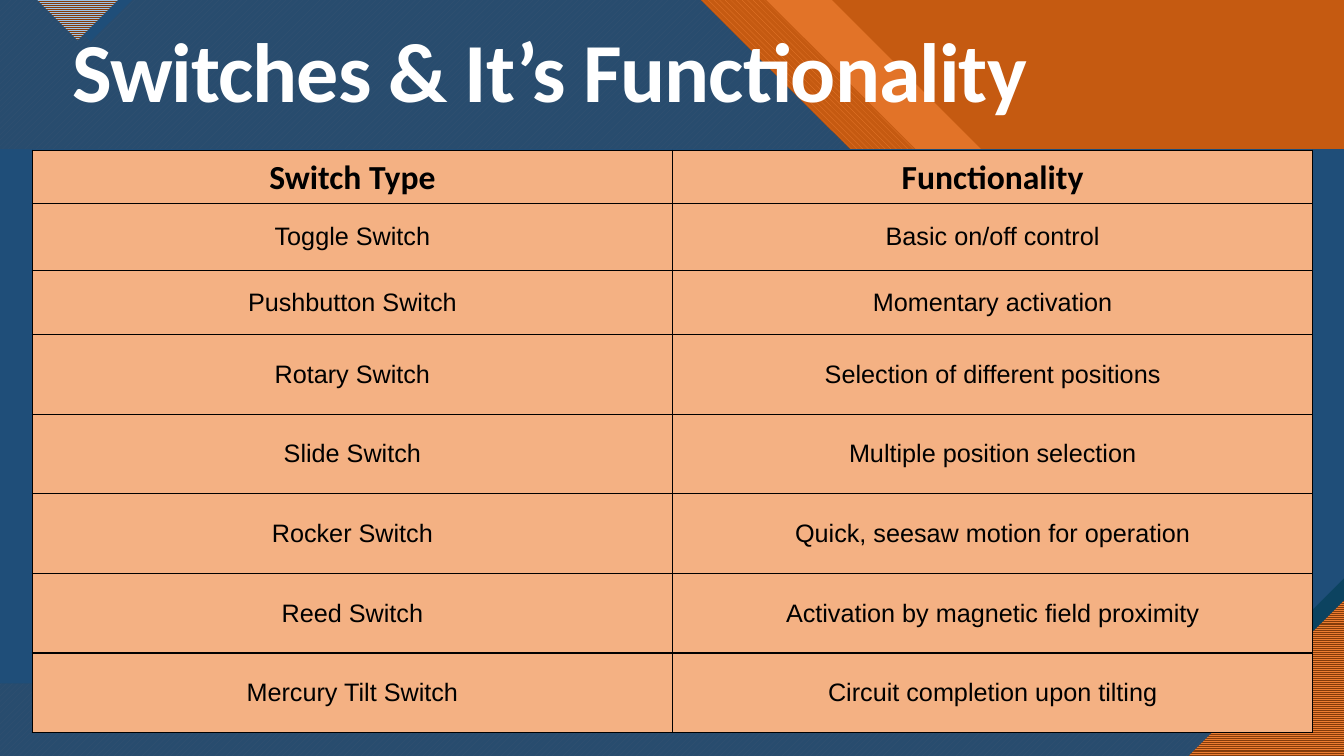
from lxml.etree import SubElement
from pptx import Presentation
from pptx.dml.color import RGBColor
from pptx.enum.dml import MSO_PATTERN
from pptx.enum.shapes import MSO_SHAPE
from pptx.enum.text import MSO_ANCHOR, PP_ALIGN
from pptx.oxml import parse_xml
from pptx.oxml.ns import nsdecls, qn
from pptx.util import Inches, Pt

WHITE = RGBColor(0xFF, 0xFF, 0xFF)
BLACK = RGBColor(0x00, 0x00, 0x00)
RUST = RGBColor(0xC5, 0x5A, 0x11)
ORANGE = RGBColor(0xED, 0x7D, 0x31)
BROWN = RGBColor(0x84, 0x3C, 0x0B)
NAVY = RGBColor(0x1F, 0x4E, 0x79)
TEAL = RGBColor(0x0C, 0x43, 0x60)
SKY = RGBColor(0x9D, 0xC3, 0xE6)
PEACH = RGBColor(0xF4, 0xB1, 0x83)

TITLE = "Switches & It’s Functionality"
ROWS = [
    ("Switch Type", "Functionality"),
    ("Toggle Switch", "Basic on/off control"),
    ("Pushbutton Switch", "Momentary activation"),
    ("Rotary Switch", "Selection of different positions"),
    ("Slide Switch", "Multiple position selection"),
    ("Rocker Switch", "Quick, seesaw motion for operation"),
    ("Reed Switch", "Activation by magnetic field proximity"),
    ("Mercury Tilt Switch", "Circuit completion upon tilting"),
]
HEIGHTS = [0.53, 0.66, 0.64] + [0.79] * 5
WIDE, HIGH = 13.33, 7.5


def band(top, step, flat, edge, left=0):
    return [(left, 0), (top, 0), (top + step, step), (flat, step),
            (WIDE, edge), (WIDE, HIGH), (left, HIGH)]


FIELD = band(6.95, 2.97, 11.18, 5.12)
DOWN = MSO_PATTERN.WIDE_DOWNWARD_DIAGONAL
UP = MSO_PATTERN.WIDE_UPWARD_DIAGONAL
LINES = MSO_PATTERN.LIGHT_HORIZONTAL
BARS = MSO_PATTERN.DARK_VERTICAL

LAYERS = [
    (band(8.25, 2.97, 12.34, 3.96), dict(fore=ORANGE, alpha=74)),
    (band(7.6, 2.97, 11.84, 4.47, 0.66), dict(fore=ORANGE, back=RUST, kind=DOWN)),
    (FIELD, dict(fore=ORANGE, back=BROWN, kind=UP)),
    (FIELD, dict(fore=NAVY, alpha=90)),
    ([(1.31, 0), (0.9, 0.41), (0.48, 0)], dict(fore=NAVY)),
    ([(0.37, 0), (0.77, 0.4), (1.17, 0)], dict(fore=SKY, back=BROWN, kind=LINES)),
]
CORNER = [(11.79, HIGH), (WIDE, HIGH), (WIDE, 5.96)]
PANELS = [(0, dict(fore=TEAL, back=BROWN, kind=BARS)), (0.197, dict(fore=NAVY))]

deck = Presentation()
deck.slide_width, deck.slide_height = Inches(WIDE), Inches(HIGH)
slide = deck.slides.add_slide(deck.slide_layouts[6])
slide.background.fill.solid()
slide.background.fill.fore_color.rgb = ORANGE


def paint(shape, fore, back=None, kind=None, alpha=None):
    shape.shadow.inherit = False
    shape.line.fill.background()
    if kind:
        shape.fill.patterned()
        shape.fill.pattern = kind
        shape.fill.back_color.rgb = back
    else:
        shape.fill.solid()
    shape.fill.fore_color.rgb = fore
    if alpha:
        color = shape._element.spPr.find(qn("a:solidFill"))[0]
        SubElement(color, qn("a:alpha")).set("val", str(alpha * 1000))


def outline(points, look):
    spots = [(Inches(x), Inches(y)) for x, y in points]
    pen = slide.shapes.build_freeform(*spots[0], scale=1.0)
    pen.add_line_segments(spots[1:], close=True)
    paint(pen.convert_to_shape(), **look)


def write(frame, text, size, font, color, bold=False, align=None, space=None, track=None):
    par = frame.paragraphs[0]
    par.alignment = align
    par.line_spacing = space
    run = par.add_run()
    run.text = text
    run.font.size, run.font.name, run.font.bold = Pt(size), font, bold
    run.font.color.rgb = color
    if track:
        run.font._element.set("spc", str(track))


def border(cell):
    props = cell._tc.get_or_add_tcPr()
    for spot, side in enumerate("LRTB"):
        props.insert(spot, parse_xml(
            f'<a:ln{side} {nsdecls("a")} w="{Pt(0.96)}"><a:solidFill>'
            f'<a:srgbClr val="{BLACK}"/></a:solidFill></a:ln{side}>'))


base = slide.shapes.add_shape(MSO_SHAPE.RECTANGLE, 0, 0, Inches(WIDE), Inches(HIGH))
paint(base, RUST)
for points, look in LAYERS:
    outline(points, look)
for snip, look in PANELS:
    panel = slide.shapes.add_shape(
        MSO_SHAPE.SNIP_1_RECTANGLE, 0, Inches(1.48), Inches(WIDE), Inches(5.3))
    panel.adjustments[0] = snip
    panel._element.spPr.find(qn("a:xfrm")).set("flipV", "1")
    paint(panel, **look)
outline(CORNER, dict(fore=BROWN, back=ORANGE, kind=LINES))

head = slide.shapes.add_textbox(
    Inches(0.62), Inches(0.24), Inches(12.26), Inches(1.01)).text_frame
head.word_wrap = True
head.vertical_anchor = MSO_ANCHOR.MIDDLE
write(head, TITLE, 60, "Calibri", WHITE, bold=True, space=0.9, track=-70)

grid = slide.shapes.add_table(
    len(ROWS), 2, Inches(0.32), Inches(1.49), Inches(12.7), Inches(sum(HEIGHTS))).table
for col in grid.columns:
    col.width = Inches(6.35)
for r, (row, high) in enumerate(zip(ROWS, HEIGHTS)):
    grid.rows[r].height = Inches(high)
    for c, text in enumerate(row):
        cell = grid.cell(r, c)
        cell.fill.solid()
        cell.fill.fore_color.rgb = PEACH
        cell.vertical_anchor = MSO_ANCHOR.MIDDLE if r else MSO_ANCHOR.BOTTOM
        border(cell)
        size, font = (18, "Arial") if r else (24, "Calibri")
        write(cell.text_frame, text, size, font, BLACK, bold=r == 0, align=PP_ALIGN.CENTER)

deck.save("out.pptx")
